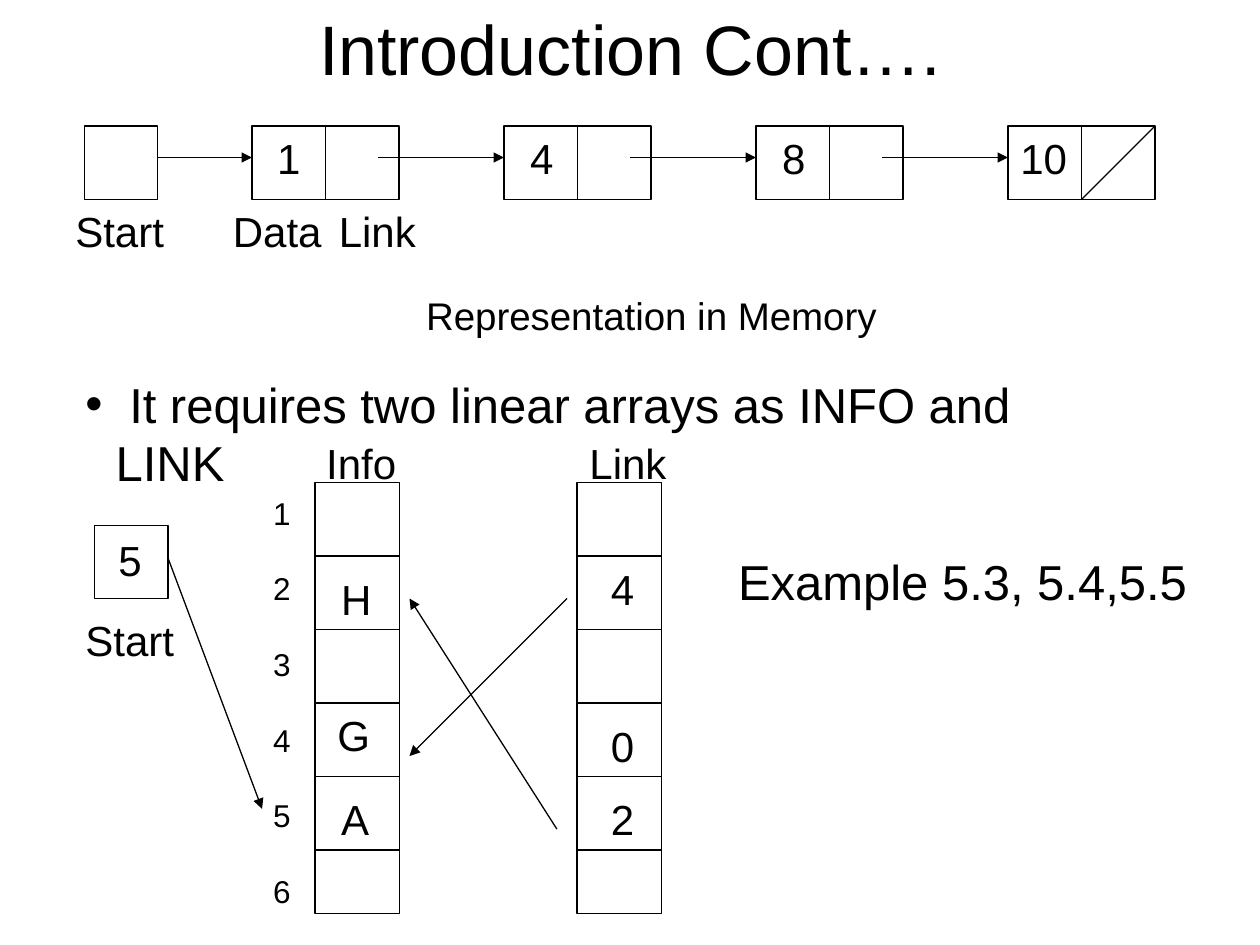
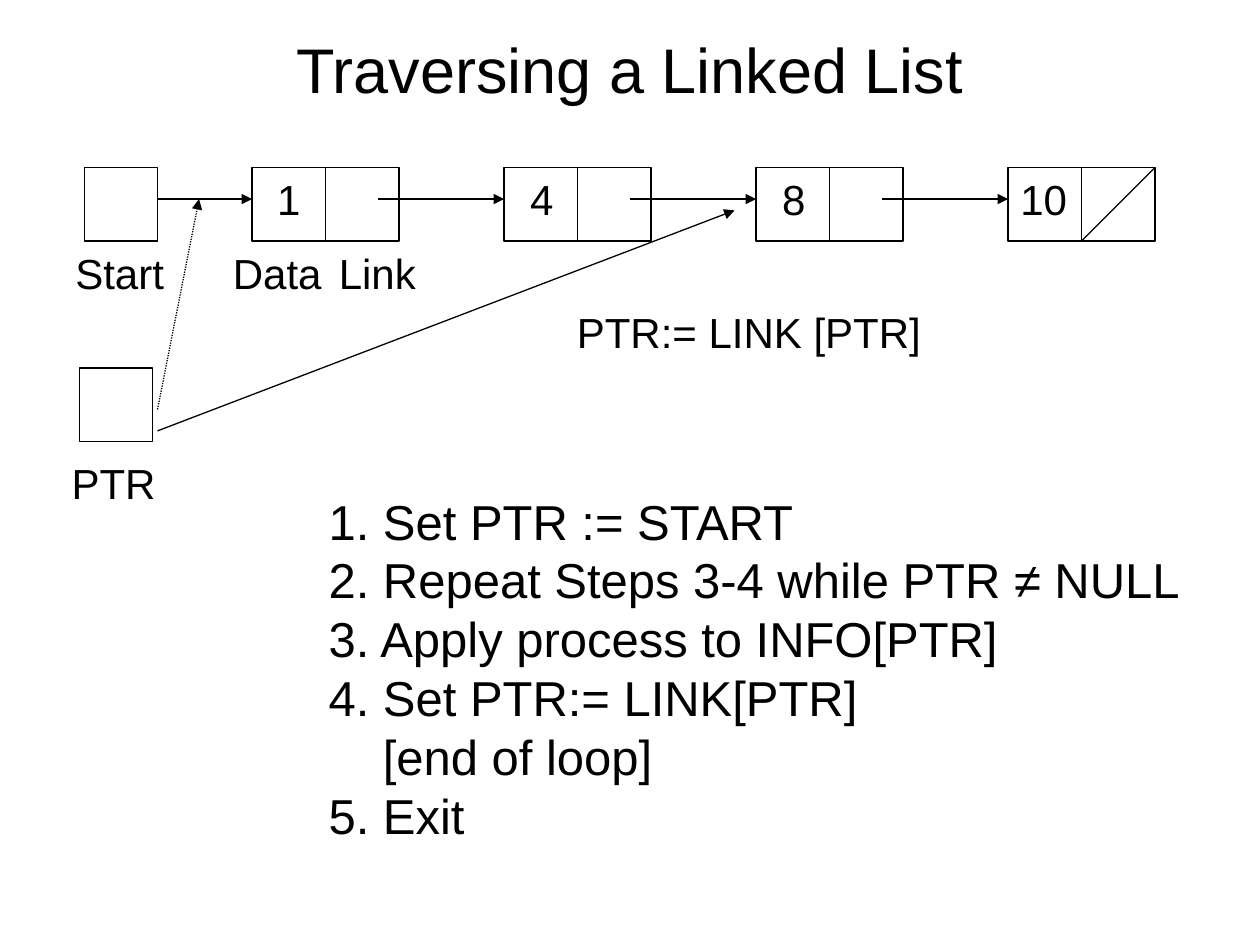
"""Build two slides on linked lists: memory representation and traversal."""
from lxml import etree
from pptx import Presentation
from pptx.dml.color import RGBColor
from pptx.enum.dml import MSO_LINE
from pptx.enum.shapes import MSO_CONNECTOR, MSO_SHAPE
from pptx.enum.text import MSO_ANCHOR, PP_ALIGN
from pptx.oxml.ns import qn
from pptx.util import Inches, Pt

STRAIGHT, RECTANGLE = MSO_CONNECTOR.STRAIGHT, MSO_SHAPE.RECTANGLE
TOP, MIDDLE = MSO_ANCHOR.TOP, MSO_ANCHOR.MIDDLE
LEFT, CENTER = PP_ALIGN.LEFT, PP_ALIGN.CENTER
DOTTED = MSO_LINE.ROUND_DOT

WIDTH, HEIGHT = 10, 7.5
FONT, INK = "Arial", "000000"
LINE_WIDTH, LEADING, INSET = 0.75, 1.2, 0.1
CELL = 7 / 12
START_LEFT, NODE_LEFT, NODE_PITCH = 0.67, 2, 2
ARROW_DROP, ARROW_LENGTH = 0.25, 1
COLUMN_WIDTH, COLUMN_TOP, COLUMN_HEIGHT, ROWS = 0.67, 3.83, 3.42, 6

TITLES = [("Introduction Cont….", 0, 40), ("Traversing a Linked List", 0.17, 36)]
CHAIN_TOPS = [1, 1.33]
NODES = [("1", 0.1, 0.38), ("4", 0.11, 0.38), ("8", 0.11, 0.38), ("10", 0, 0.57)]
CHAIN_LABELS = [("Start", 0.5, 0.9), ("Data", 1.75, 0.9), ("Link", 2.59, 0.81)]

MEMORY_COLUMNS = [2.5, 4.58]
MEMORY_LABELS = [
    ("Start", 0.58, 4.83, 0.9), ("5", 0.84, 4.19, 0.38),
    ("Info", 2.49, 3.42, 0.75), ("Link", 4.58, 3.42, 0.81),
    ("H", 2.61, 4.5, 0.44), ("G", 2.58, 5.58, 0.46), ("A", 2.61, 6.25, 0.42),
    ("4", 4.75, 4.42, 0.38), ("0", 4.75, 5.67, 0.38), ("2", 4.75, 6.25, 0.38),
]
MEMORY_ARROWS = [
    ((1.33, 4.42), (2.08, 6.42)),
    ((4.42, 6.58), (3.25, 4.75)),
    ((4.5, 4.75), (3.25, 6)),
]
STEPS = [
    "1. Set PTR := START",
    "2. Repeat Steps 3-4 while PTR ≠ NULL",
    "3. Apply process to INFO[PTR]",
    "4. Set PTR:= LINK[PTR]",
    "[end of loop]",
    "5. Exit",
]


def color(value):
    return RGBColor.from_string(value)


def apply(target, values):
    for name, value in values.items():
        setattr(target, name, value)


def add_text(page, lines, left, top, width, size=24, height=None, wrap=False,
             anchor=TOP, align=LEFT, gap=0):
    """Add a text box with one paragraph per line and return its paragraphs."""
    lines = [lines] if isinstance(lines, str) else lines
    height = height or INSET + len(lines) * size * LEADING / 72
    box = page.shapes.add_textbox(*map(Inches, (left, top, width, height)))
    frame = box.text_frame
    apply(frame, {"word_wrap": wrap, "vertical_anchor": anchor,
                  "margin_left": Inches(INSET),
                  "margin_right": Inches(INSET if wrap else 0)})
    for index, line in enumerate(lines):
        para = frame.paragraphs[0] if index == 0 else frame.add_paragraph()
        apply(para, {"alignment": align, "line_spacing": Pt(size * LEADING),
                     "space_before": Pt(gap if index else 0)})
        span = para.add_run()
        span.text = line
        apply(span.font, {"name": FONT, "size": Pt(size)})
        span.font.color.rgb = color(INK)
    return frame.paragraphs


def set_indent(para, margin, first=0, bullet=None):
    properties = para._p.get_or_add_pPr()
    properties.set("marL", str(Inches(margin)))
    properties.set("indent", str(Inches(first)))
    if bullet:
        etree.SubElement(properties, qn("a:buFont")).set("typeface", FONT)
        etree.SubElement(properties, qn("a:buChar")).set("char", bullet)


def draw_outline(shape):
    shape.line.color.rgb = color(INK)
    shape.line.width = Pt(LINE_WIDTH)


def add_box(page, left, top, width=CELL, height=CELL):
    box = page.shapes.add_shape(RECTANGLE, *map(Inches, (left, top, width, height)))
    box.shadow.inherit = False
    box.fill.background()
    draw_outline(box)


def add_line(page, start, end, arrow=False, dash=None):
    line = page.shapes.add_connector(STRAIGHT, *map(Inches, (*start, *end)))
    draw_outline(line)
    if dash:
        line.line.dash_style = dash
    properties = line.element.spPr
    if arrow:
        tail = etree.SubElement(properties.find(qn("a:ln")), qn("a:tailEnd"))
        tail.set("type", "triangle")
    etree.SubElement(properties, qn("a:effectLst"))


def add_chain(page, top):
    """Draw the start box, the linked nodes and their labels."""
    arrow_y = top + ARROW_DROP
    add_box(page, START_LEFT, top)
    for index, (value, inset, width) in enumerate(NODES):
        left = NODE_LEFT + index * NODE_PITCH
        add_box(page, left, top)
        add_box(page, left + CELL, top)
        add_text(page, value, left + inset, top, width)
        tail = left - ARROW_LENGTH if index else START_LEFT + CELL
        add_line(page, (tail, arrow_y), (left, arrow_y), arrow=True)
    add_line(page, (left + 2 * CELL, top), (left + CELL, top + CELL))
    for text, label_left, width in CHAIN_LABELS:
        add_text(page, text, label_left, top + CELL, width)


def add_memory(page):
    """Draw the INFO and LINK arrays with the pointers between them."""
    add_text(page, "Representation in Memory", 0.67, 2.25, 9, size=22, height=0.5,
             wrap=True, anchor=MIDDLE, align=CENTER)
    bullet = add_text(page, " It requires two linear arrays as INFO and LINK",
                      0.58, 2.92, 8.4, size=28, wrap=True)[0]
    set_indent(bullet, 0.24, -0.24, "•")
    add_box(page, 0.75, 4.17)
    for left in MEMORY_COLUMNS:
        add_box(page, left, COLUMN_TOP, COLUMN_WIDTH, COLUMN_HEIGHT)
        for row in range(1, ROWS):
            y = COLUMN_TOP + row * CELL
            add_line(page, (left, y), (left + COLUMN_WIDTH, y))
    for label in MEMORY_LABELS:
        add_text(page, *label)
    numbers = [str(row + 1) for row in range(ROWS)]
    add_text(page, numbers, 2.07, 3.87, 0.34, size=18, height=3.4, gap=18 * LEADING)
    for start, end in MEMORY_ARROWS:
        add_line(page, start, end, arrow=True)
    add_text(page, "Example 5.3, 5.4,5.5", 5.76, 4.33, 3.76, size=28)


def add_traversal(page):
    """Draw the pointer box, its two arrows and the algorithm steps."""
    add_box(page, 0.63, 2.92)
    add_text(page, "PTR", 0.47, 3.58, 0.86)
    add_line(page, (1.25, 3.25), (1.58, 1.58), arrow=True, dash=DOTTED)
    add_line(page, (1.25, 3.42), (5.83, 1.67), arrow=True)
    add_text(page, "PTR:= LINK [PTR]", 4.48, 2.38, 2.93)
    for para in add_text(page, STEPS, 2.51, 3.85, 6.95, size=28):
        if para.text.startswith("["):
            set_indent(para, 0.43)


def main():
    deck = Presentation()
    apply(deck, {"slide_width": Inches(WIDTH), "slide_height": Inches(HEIGHT)})
    blank = deck.slide_layouts[6]
    for title, chain_top, add_details in zip(TITLES, CHAIN_TOPS, (add_memory, add_traversal)):
        page = deck.slides.add_slide(blank)
        text, top, size = title
        add_text(page, text, 0.05 * WIDTH, top, 0.9 * WIDTH, size=size,
                 height=0.1 * HEIGHT, wrap=True, anchor=MIDDLE, align=CENTER)
        add_chain(page, chain_top)
        add_details(page)
    deck.save("out.pptx")


if __name__ == "__main__":
    main()
